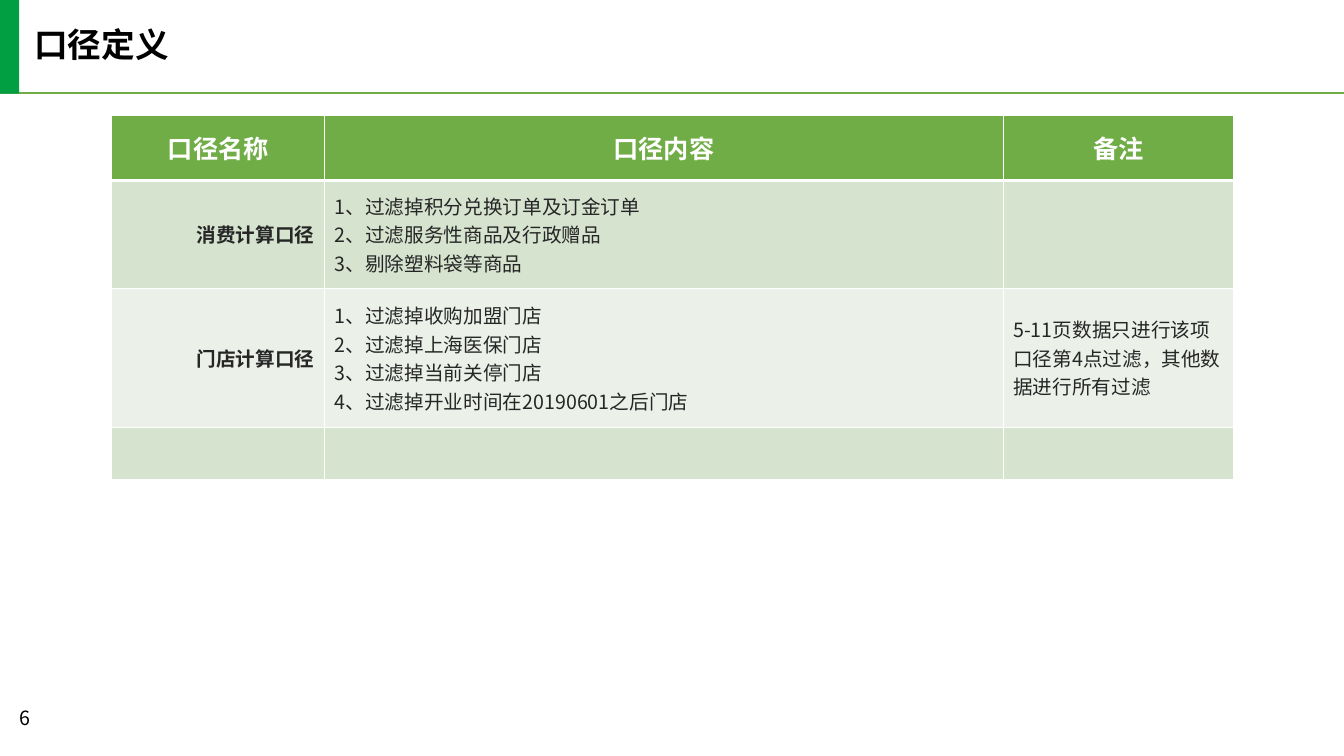
from pptx import Presentation
from pptx.dml.color import RGBColor
from pptx.enum import shapes, text
from pptx.oxml import ns, xmlchemy
from pptx import util as u

PX = 9144
FONT = "Noto Sans CJK SC"
WHITE = RGBColor(0xFF, 0xFF, 0xFF)
BLACK = RGBColor(0, 0, 0)
CHARCOAL = RGBColor(0x26, 0x26, 0x26)
ACCENT = RGBColor(0x02, 0x9E, 0x42)
GREEN = RGBColor(0x70, 0xAD, 0x47)
BAND_DARK = RGBColor(0xD5, 0xE3, 0xCF)
BAND_LIGHT = RGBColor(0xEB, 0xF1, 0xE9)

COLUMNS = [211, 673, 229]
ROWS = [65, 107, 138, 52]
HEADERS = ["口径名称", "口径内容", "备注"]
DEFINITIONS = [
    ["消费计算口径",
     "1、过滤掉积分兑换订单及订金订单\n2、过滤服务性商品及行政赠品\n3、剔除塑料袋等商品",
     ""],
    ["门店计算口径",
     "1、过滤掉收购加盟门店\n2、过滤掉上海医保门店\n3、过滤掉当前关停门店\n"
     "4、过滤掉开业时间在20190601之后门店",
     "5-11页数据只进行该项口径第4点过滤，其他数据进行所有过滤"],
    ["", "", ""],
]


def px(*lengths):
    return [u.Emu(length * PX) for length in lengths]


def write(frame, content, size=14, color=BLACK, bold=False,
          align=text.PP_ALIGN.LEFT, spacing=None):
    for index, line in enumerate(content.split("\n")):
        para = frame.add_paragraph() if index else frame.paragraphs[0]
        para.alignment = align
        para.line_spacing = spacing
        span = para.add_run()
        span.text = line
        span.font.size = u.Pt(size)
        span.font.bold = bold
        span.font.color.rgb = color
        span.font.name = FONT
        east_asian = xmlchemy.OxmlElement("a:ea")
        east_asian.set("typeface", FONT)
        span._r.get_or_add_rPr().append(east_asian)


def clear_margins(item):
    item.margin_left = item.margin_right = item.margin_top = item.margin_bottom = 0


def add_title(page, content):
    title = page.shapes.title
    title.left, title.top, title.width, title.height = px(34, 28, 629, 36)
    frame = title.text_frame
    frame.auto_size = text.MSO_AUTO_SIZE.NONE
    frame.vertical_anchor = text.MSO_ANCHOR.MIDDLE
    clear_margins(frame)
    write(frame, content, size=24, bold=True, spacing=0.9)


def add_rule(page):
    rule = page.shapes.add_connector(
        shapes.MSO_CONNECTOR.STRAIGHT, *px(0, 92, 1333, 92))
    rule.line.color.rgb = GREEN
    rule.line.width = u.Pt(1.5)
    rule._element.spPr.append(xmlchemy.OxmlElement("a:effectLst"))


def add_bar(page):
    bar = page.shapes.add_shape(
        shapes.MSO_SHAPE.RECTANGLE, *px(0, -1, 19, 94))
    bar.shadow.inherit = False
    bar.fill.solid()
    bar.fill.fore_color.rgb = ACCENT
    bar.line.fill.background()


def add_page_number(page, number):
    box = page.shapes.add_textbox(*px(9, 695, 91, 40))
    box.text_frame.word_wrap = True
    write(box.text_frame, number)


def set_borders(cell, **widths):
    properties = cell._tc.get_or_add_tcPr()
    for side in "LRTB":
        border = xmlchemy.OxmlElement(f"a:ln{side}")
        border.set("w", str(u.Pt(widths.get(side, 1))))
        fill = xmlchemy.OxmlElement("a:solidFill")
        color = xmlchemy.OxmlElement("a:srgbClr")
        color.set("val", str(WHITE))
        fill.append(color)
        border.append(fill)
        properties.append(border)


def fill_cell(cell, content, fill, **style):
    cell.fill.solid()
    cell.fill.fore_color.rgb = fill
    cell.vertical_anchor = text.MSO_ANCHOR.MIDDLE
    if content:
        write(cell.text_frame, content, **style)


def add_definitions(page):
    table = page.shapes.add_table(
        len(ROWS), len(COLUMNS),
        *px(111, 114, sum(COLUMNS), sum(ROWS))).table
    for column, width in zip(table.columns, px(*COLUMNS)):
        column.width = width
    for row, height in zip(table.rows, px(*ROWS)):
        row.height = height

    for index, heading in enumerate(HEADERS):
        cell = table.cell(0, index)
        set_borders(cell, B=3)
        clear_margins(cell)
        fill_cell(cell, heading, GREEN, size=18, color=WHITE, bold=True,
                  align=text.PP_ALIGN.CENTER)

    for row, definition in enumerate(DEFINITIONS, 1):
        band = BAND_DARK if row % 2 else BAND_LIGHT
        for column, content in enumerate(definition):
            cell = table.cell(row, column)
            is_name = column == 0
            set_borders(cell, T=3 if row == 1 else 1)
            fill_cell(cell, content, band, color=CHARCOAL, bold=is_name,
                      align=text.PP_ALIGN.RIGHT if is_name else text.PP_ALIGN.LEFT)


def main():
    deck = Presentation()
    deck.slide_width, deck.slide_height = px(1333, 750)
    page = deck.slides.add_slide(deck.slide_layouts[5])
    add_rule(page)
    add_title(page, "口径定义")
    add_bar(page)
    add_page_number(page, "6")
    add_definitions(page)
    deck.save("out.pptx")


if __name__ == "__main__":
    main()
